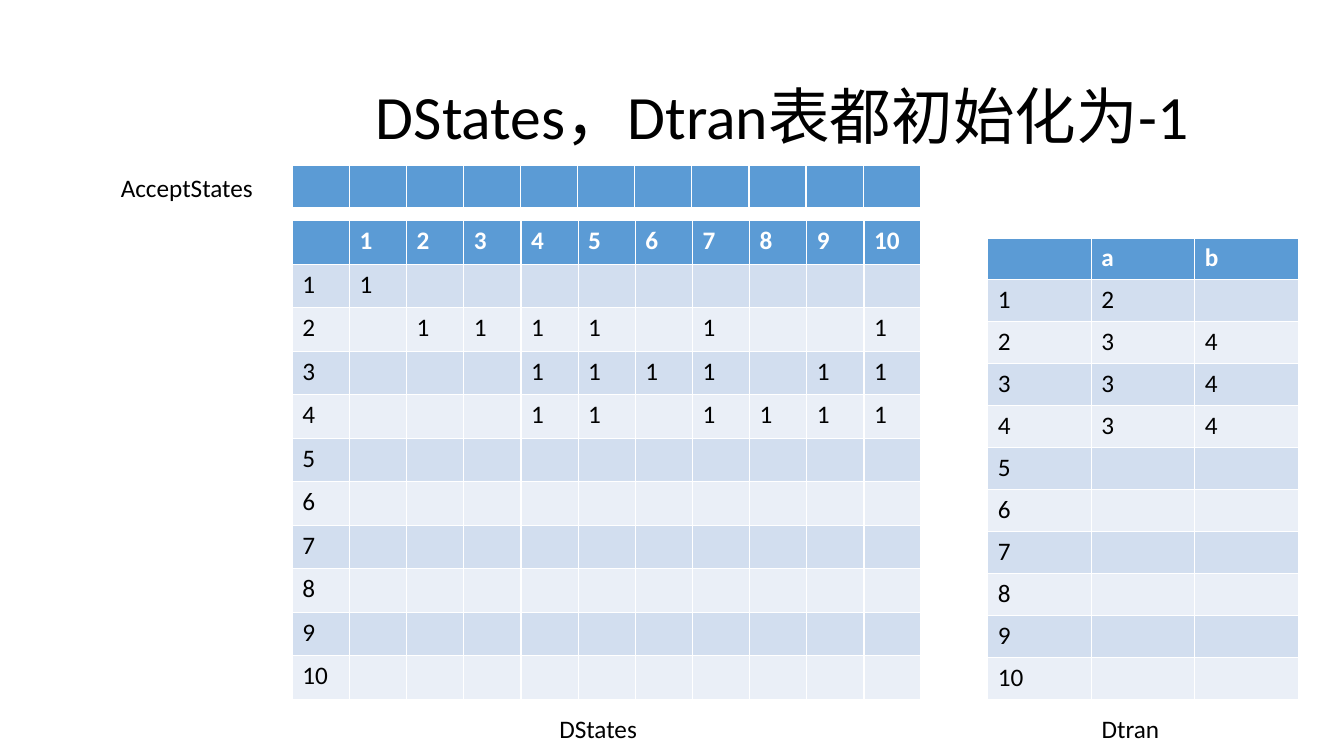
"""Build the slide showing the DStates, Dtran and AcceptStates tables."""
from dataclasses import dataclass

from pptx import Presentation
from pptx import util as u
from pptx.dml import color
from pptx.enum import text
from pptx.slide import Slide
from pptx.text import text as paragraphs


@dataclass(frozen=True)
class Theme:
    """Colours, font and type sizes."""
    ink: str = "000000"
    paper: str = "FFFFFF"
    header: str = "5B9BD5"
    bands: tuple[str, str] = ("D2DEEF", "EAEFF7")
    font: str = "Calibri"
    title_size: int = 44
    body_size: int = 18


@dataclass(frozen=True)
class Box:
    """A place given in percent of the slide's width and height."""
    left: float
    top: float
    width: float
    height: float

    def lengths(self) -> tuple[int, int, int, int]:
        """Return left, top, width and height in slide units."""
        return (int(WIDTH * self.left / 100), int(HEIGHT * self.top / 100),
                int(WIDTH * self.width / 100), int(HEIGHT * self.height / 100))


@dataclass(frozen=True)
class Label:
    """A line of text and its place."""
    wording: str
    box: Box
    size: int
    anchor: text.MSO_ANCHOR = text.MSO_ANCHOR.TOP
    line_spacing: float = 1.0


@dataclass(frozen=True)
class Grid:
    """A table whose first row is its header."""
    rows: list[list[str]]
    box: Box


THEME = Theme()
WIDTH, HEIGHT = u.Inches(13.33), u.Inches(7.5)
STATES = range(1, 11)
MEMBERS = {1: {1}, 2: {2, 3, 4, 5, 7, 10}, 3: {4, 5, 6, 7, 9, 10}, 4: {4, 5, 7, 8, 9, 10}}
MOVES = {1: ["2", ""], 2: ["3", "4"], 3: ["3", "4"], 4: ["3", "4"]}

DSTATES_ROWS = [["", *map(str, STATES)]] + [
    [str(state), *("1" if position in MEMBERS.get(state, set()) else "" for position in STATES)]
    for state in STATES]
DTRAN_ROWS = [["", "a", "b"]] + [[str(state), *MOVES.get(state, ["", ""])] for state in STATES]
ACCEPT_ROWS = [[""] * (len(STATES) + 1)]

GRIDS = [
    Grid(DSTATES_ROWS, Box(21.75, 29.2, 46.8, 63.33)),
    Grid(DTRAN_ROWS, Box(73.5, 31.47, 23.1, 61.07)),
    Grid(ACCEPT_ROWS, Box(21.75, 21.87, 46.73, 5.6)),
]
LABELS = [
    Label("DStates，Dtran表都初始化为-1", Box(27.23, 8.67, 86.25, 14.27), THEME.title_size,
          text.MSO_ANCHOR.MIDDLE, 0.9),
    Label("DStates", Box(40.88, 93.73, 10.13, 5.33), THEME.body_size),
    Label("Dtran", Box(81.23, 93.73, 7.65, 5.33), THEME.body_size),
    Label("AcceptStates", Box(8.25, 22.13, 12.53, 5.33), THEME.body_size),
]


def style(paragraph: paragraphs._Paragraph, size: int, ink: str, bold: bool = False) -> None:
    """Set the font of a paragraph."""
    font = paragraph.font
    font.name, font.size, font.bold = THEME.font, u.Pt(size), bold
    font.color.rgb = color.RGBColor.from_string(ink)


def draw_label(slide: Slide, label: Label) -> None:
    """Add a text box."""
    frame = slide.shapes.add_textbox(*label.box.lengths()).text_frame
    frame.word_wrap = True
    frame.vertical_anchor = label.anchor
    paragraph = frame.paragraphs[0]
    paragraph.text = label.wording
    paragraph.line_spacing = label.line_spacing
    style(paragraph, label.size, THEME.ink)


def draw_grid(slide: Slide, grid: Grid) -> None:
    """Add a table with a header row and alternating bands."""
    row_count, column_count = len(grid.rows), len(grid.rows[0])
    table = slide.shapes.add_table(row_count, column_count, *grid.box.lengths()).table
    for row, values in enumerate(grid.rows):
        is_header = row == 0
        fill = THEME.header if is_header else THEME.bands[(row - 1) % 2]
        for column, value in enumerate(values):
            cell = table.cell(row, column)
            cell.fill.solid()
            cell.fill.fore_color.rgb = color.RGBColor.from_string(fill)
            cell.text = value
            style(cell.text_frame.paragraphs[0], THEME.body_size,
                  THEME.paper if is_header else THEME.ink, is_header)


def main() -> None:
    """Build and save the presentation."""
    presentation = Presentation()
    presentation.slide_width, presentation.slide_height = WIDTH, HEIGHT
    slide = presentation.slides.add_slide(presentation.slide_layouts[6])
    for grid in GRIDS:
        draw_grid(slide, grid)
    for label in LABELS:
        draw_label(slide, label)
    presentation.save("out.pptx")


main()
